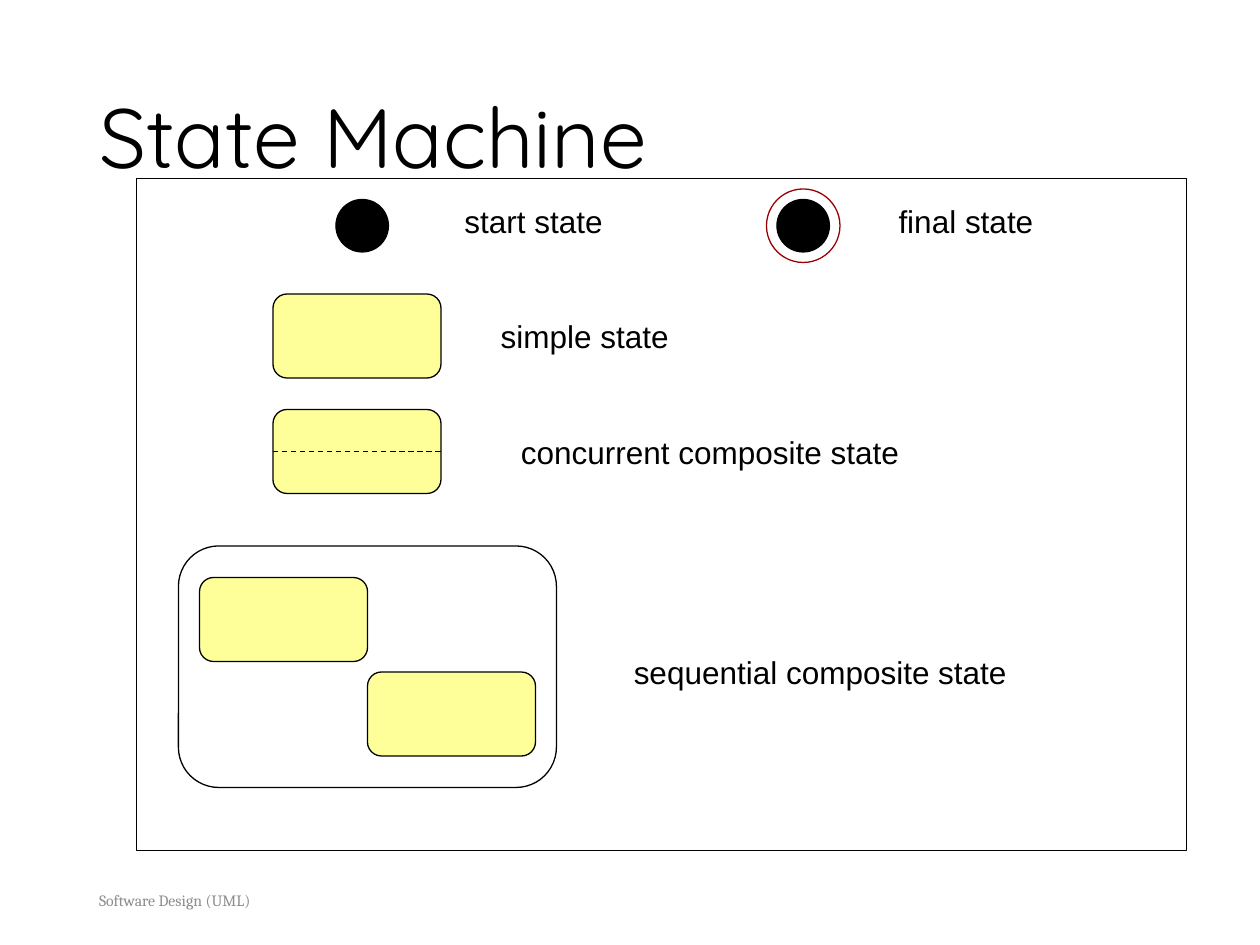
from pptx import Presentation
from pptx.dml.color import RGBColor
from pptx.enum.dml import MSO_LINE
from pptx.enum.shapes import MSO_CONNECTOR, MSO_SHAPE
from pptx.enum.text import MSO_ANCHOR, MSO_AUTO_SIZE, PP_ALIGN
from pptx.util import Emu, Pt
from lxml import etree

RECT = MSO_SHAPE.RECTANGLE
OVAL = MSO_SHAPE.OVAL
ROUND = MSO_SHAPE.ROUNDED_RECTANGLE
LINE = MSO_CONNECTOR.STRAIGHT
DASH = MSO_LINE.DASH
MIDDLE = MSO_ANCHOR.MIDDLE
FIT = MSO_AUTO_SIZE.SHAPE_TO_FIT_TEXT
FIXED = MSO_AUTO_SIZE.NONE
LEFT, CENTER = PP_ALIGN.LEFT, PP_ALIGN.CENTER

SCALE = 9525  # EMU in one px, at 96 px to the inch
BLACK, RED, YELLOW, GRAY = "000000", "990000", "FFFF99", "8C8C8C"
STATE = 128, 64
DOT, RING = 40, 56


def px(*sizes):
    return [Emu(size * SCALE) for size in sizes]


def color(code):
    return RGBColor.from_string(code)


def write(frame, text, size=18, font="Arial", ink=BLACK, align=LEFT,
          wrap=True, fit=FIXED, space=None):
    frame.word_wrap = wrap
    frame.auto_size = fit
    frame.vertical_anchor = MIDDLE
    para = frame.paragraphs[0]
    para.alignment = align
    para.line_spacing = space
    run = para.add_run()
    run.text = text
    run.font.size = Pt(size)
    run.font.name = font
    run.font.color.rgb = color(ink)


class Board:
    def __init__(self, slide):
        self.slide = slide
        self.shapes = slide.shapes
        self.width = Pt(0.75)

    def title(self, text, left, top, width, height):
        box = self.shapes.title
        box.left, box.top, box.width, box.height = px(left, top, width, height)
        write(box.text_frame, text, size=48, font="Quicksand", space=0.9)

    def text(self, text, left, top, width, height, **style):
        box = self.shapes.add_textbox(*px(left, top, width, height))
        write(box.text_frame, text, **style)

    def label(self, text, left, top, width):
        self.text(text, left, top, width, 48, align=CENTER, wrap=False, fit=FIT)

    def shape(self, kind, left, top, width, height, fill=None, line=BLACK):
        item = self.shapes.add_shape(kind, *px(left, top, width, height))
        item.shadow.inherit = False
        if fill:
            item.fill.solid()
            item.fill.fore_color.rgb = color(fill)
        else:
            item.fill.background()
        item.line.color.rgb = color(line)
        item.line.width = self.width
        return item

    def disc(self, x, y, size, **style):
        """Draw a circle around the centre x, y."""
        self.shape(OVAL, x - size // 2, y - size // 2, size, size, **style)

    def state(self, left, top, size=STATE, fill=YELLOW):
        item = self.shape(ROUND, left, top, *size, fill=fill)
        item.adjustments[0] = 0.167
        return item

    def split(self, state):
        """Draw a dashed line across the middle of a state."""
        line = self.shapes.add_connector(LINE, 0, 0, 0, 0)
        line.begin_connect(state, 1)
        line.end_connect(state, 3)
        line.line.color.rgb = color(BLACK)
        line.line.width = self.width
        line.line.dash_style = DASH
        props = line._element.spPr
        etree.SubElement(props, props.ln.tag.replace("}ln", "}effectLst"))


def main():
    deck = Presentation()
    deck.slide_width, deck.slide_height = px(960, 720)
    board = Board(deck.slides.add_slide(deck.slide_layouts[5]))

    board.text("Software Design (UML)", 66, 667, 216, 38,
               size=9, font="Cambria", ink=GRAY)
    board.title("State Machine", 66, 38, 828, 139)
    board.shape(RECT, 104, 136, 800, 512)

    for x in (276, 612):
        board.disc(x, 172, DOT, fill=BLACK)
    board.disc(612, 172, RING, line=RED)

    board.state(208, 224)
    board.split(board.state(208, 312))

    for left, top in ((280, 512), (152, 440)):
        board.state(left, top)
    board.state(136, 416, size=(288, 184), fill=None)

    for text, left, top, width in (
        ("start state", 336, 144, 141),
        ("final state", 664, 144, 144),
        ("simple state", 360, 232, 171),
        ("concurrent composite state", 360, 320, 362),
        ("sequential composite state", 448, 488, 354),
    ):
        board.label(text, left, top, width)

    deck.save("out.pptx")


if __name__ == "__main__":
    main()
